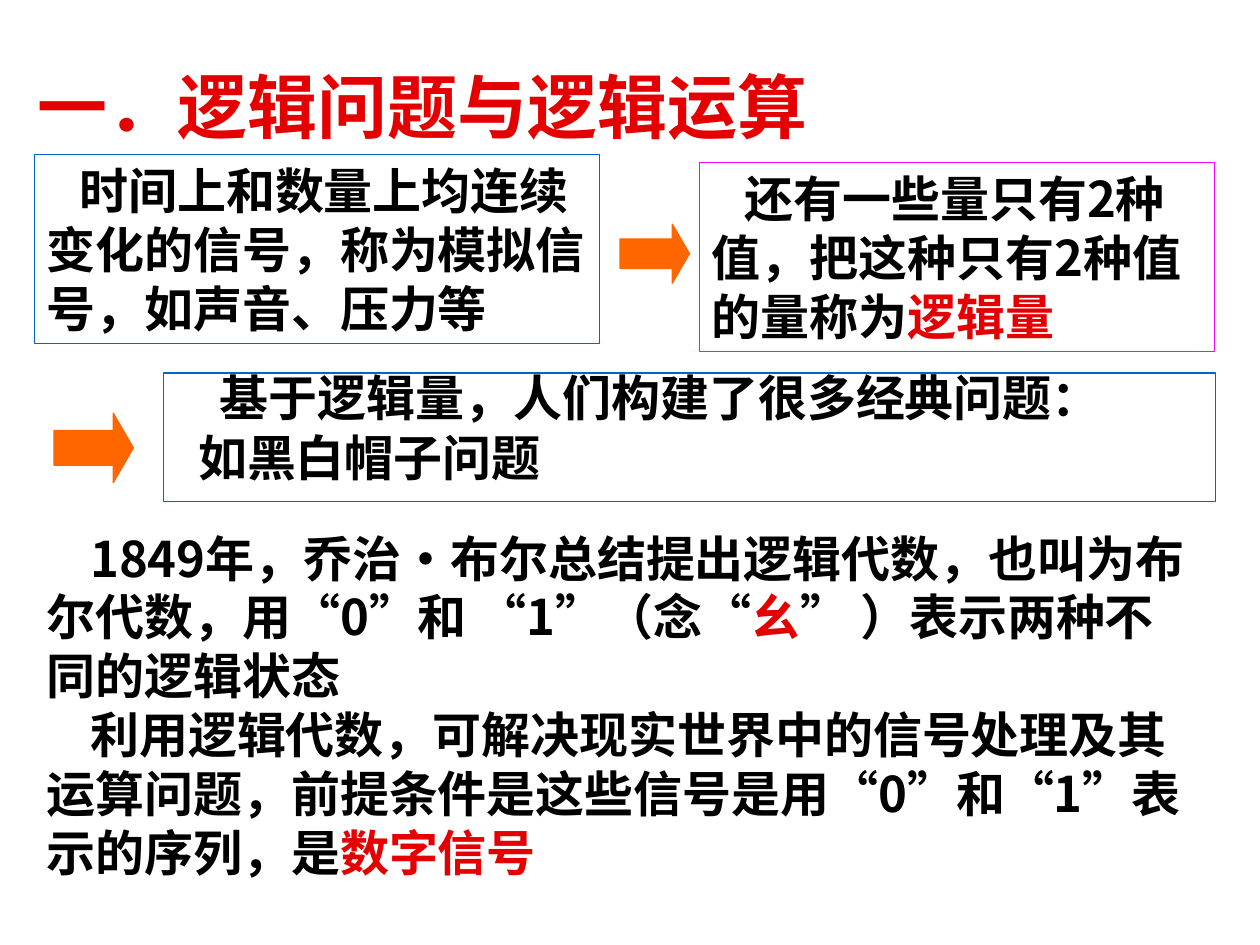
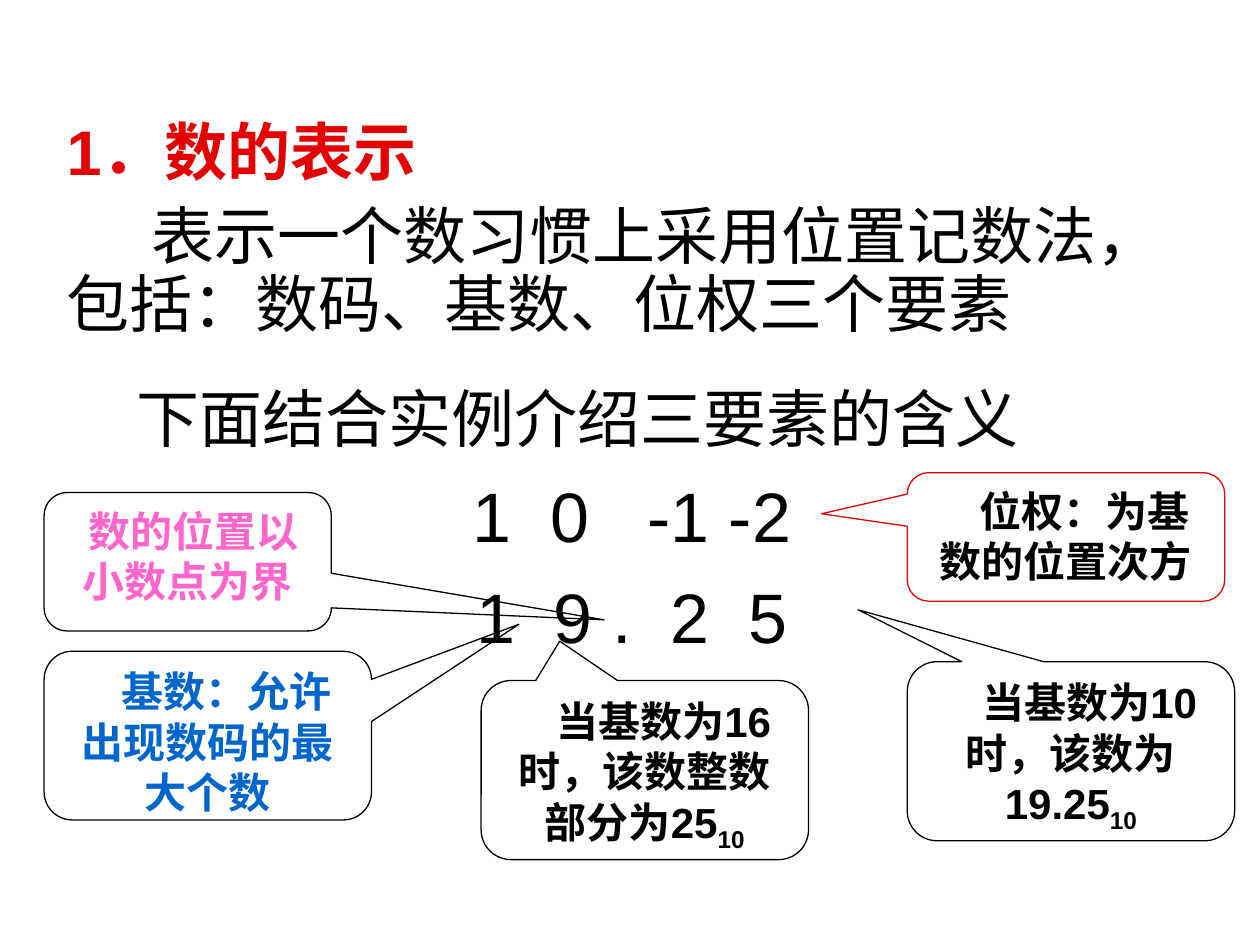
from lxml.etree import SubElement
from pptx import Presentation
from pptx.dml.color import RGBColor
from pptx.enum.lang import MSO_LANGUAGE_ID
from pptx.enum.shapes import MSO_SHAPE
from pptx.enum.text import MSO_ANCHOR, MSO_AUTO_SIZE, PP_ALIGN
from pptx.oxml.ns import qn
from pptx.util import Cm, Pt

BLACK, RED, BLUE = "000000", "E40000", "0066CC"
MAGENTA, PINK, ORANGE = "FF00FF", "FF66CC", "FF6600"
ARIAL, NOTO = "Arial", "Noto Sans CJK SC"


def add_paragraph(tf, runs, size, indent=0, align=PP_ALIGN.LEFT, before=0, spacing=1.0, bold=True):
    """Add a paragraph of (text, font, colour) runs, using the empty first one if there is one."""
    p = tf.paragraphs[0] if not tf.paragraphs[0].runs else tf.add_paragraph()
    p.alignment, p.space_before, p.line_spacing = align, Pt(before), spacing
    pPr = p._p.get_or_add_pPr()
    pPr.set("marL", "0")
    pPr.set("indent", str(Cm(indent)))
    for text, font, colour in runs:
        r = p.add_run()
        r.text = text
        r.font.size, r.font.bold, r.font.name = Pt(size), bold, font
        r.font.color.rgb = RGBColor.from_string(colour)
        r.font.language_id = MSO_LANGUAGE_ID.SIMPLIFIED_CHINESE
        # Quotation marks and the name dot take their full-width form
        SubElement(r._r.rPr, qn("a:ea"), typeface=NOTO if text in "“”•" else font)
    return p


def set_frame(sp, line=None, anchor=MSO_ANCHOR.TOP):
    """Outline a shape without fill and return its wrapped text frame."""
    if line:
        sp.fill.background()
        sp.line.color.rgb = RGBColor.from_string(line)
        sp.line.width = Pt(0.75)
    tf = sp.text_frame
    tf.word_wrap, tf.auto_size, tf.vertical_anchor = True, MSO_AUTO_SIZE.NONE, anchor
    return tf


prs = Presentation()
prs.slide_width, prs.slide_height = Cm(25.4), Cm(19.05)
layout = prs.slide_layouts[0]

# Slide 1: logic problems and logic operations
s = prs.slides.add_slide(layout)
title, subtitle = s.placeholders
title.left, title.top, title.width, title.height = Cm(0.51), Cm(1.12), Cm(22.86), Cm(2)
tf = set_frame(title, anchor=MSO_ANCHOR.MIDDLE)
add_paragraph(tf, [("一．逻辑问题与逻辑运算", ARIAL, RED)], 40)

subtitle.left, subtitle.top, subtitle.width, subtitle.height = Cm(3.3), Cm(7.52), Cm(21.21), Cm(2.59)
tf = set_frame(subtitle, BLUE)
add_paragraph(tf, [("基于逻辑量，人们构建了很多经典问题：", NOTO, BLACK)], 28, 0.88, spacing=0.8)
add_paragraph(tf, [("如黑白帽子问题", NOTO, BLACK)], 28, 0.44, before=7, spacing=0.8)

signal_boxes = [
    (0.69, 3.12, 11.4, BLUE,
     [("时间上和数量上均连续变化的信号，称为模拟信号，如声音、压力等", ARIAL, BLACK)]),
    (14.1, 3.28, 10.39, MAGENTA,
     [("还有一些量只有2种值，把这种只有2种值的量称为", NOTO, BLACK), ("逻辑量", NOTO, RED)]),
]
for left, top, width, line, runs in signal_boxes:
    sp = s.shapes.add_shape(MSO_SHAPE.RECTANGLE, Cm(left), Cm(top), Cm(width), Cm(3.81))
    sp.shadow.inherit = False
    add_paragraph(set_frame(sp, line), runs, 28, 0.66)

for left, top, width, height in [(12.5, 4.52, 1.4, 1.19), (1.09, 8.33, 1.6, 1.4)]:
    sp = s.shapes.add_shape(MSO_SHAPE.RIGHT_ARROW, Cm(left), Cm(top), Cm(width), Cm(height))
    sp.shadow.inherit = False
    sp.adjustments[1] = 0.29
    sp.fill.solid()
    sp.fill.fore_color.rgb = sp.line.color.rgb = RGBColor.from_string(ORANGE)
    sp.line.width = Pt(0.75)

quoted_zero, quoted_one = (
    [("“", ARIAL, BLACK), (digit, NOTO, BLACK), ("”", ARIAL, BLACK)] for digit in "01")
sp = s.shapes.add_textbox(Cm(0.69), Cm(10.52), Cm(23.6), Cm(7.37))
tf = set_frame(sp, anchor=MSO_ANCHOR.MIDDLE)
add_paragraph(tf, [
    ("1849年，乔治", NOTO, BLACK), ("•", ARIAL, BLACK),
    ("布尔总结提出逻辑代数，也叫为布尔代数，用", NOTO, BLACK),
    *quoted_zero, ("和 ", NOTO, BLACK), *quoted_one, ("（念", NOTO, BLACK),
    ("“", ARIAL, BLACK), ("幺", NOTO, RED), ("”", ARIAL, BLACK),
    (" ）表示两种不同的逻辑状态", NOTO, BLACK),
], 28, 0.88)
add_paragraph(tf, [
    ("利用逻辑代数，可解决现实世界中的信号处理及其运算问题，前提条件是这些信号是用", NOTO, BLACK),
    *quoted_zero, ("和", NOTO, BLACK), *quoted_one,
    ("表示的序列，是", NOTO, BLACK), ("数字信号", NOTO, RED),
], 28, 0.88)

# Slide 2: representing numbers
s = prs.slides.add_slide(layout)
title, subtitle = s.placeholders
title.element.getparent().remove(title.element)
subtitle.left, subtitle.top, subtitle.width, subtitle.height = Cm(1.09), Cm(2.31), Cm(23.29), Cm(5)
tf = set_frame(subtitle)
add_paragraph(tf, [("1．数的表示", ARIAL, RED)], 36, spacing=0.9)
add_paragraph(tf, [("表示一个数习惯上采用位置记数法，包括：数码、基数、位权三个要素", ARIAL, BLACK)],
              36, 1.7, before=9, spacing=0.9, bold=False)

sp = s.shapes.add_textbox(Cm(1.09), Cm(7.52), Cm(23.29), Cm(5.99))
tf = set_frame(sp)
add_paragraph(tf, [("下面结合实例介绍三要素的含义", ARIAL, BLACK)], 36, 1.42, bold=False)
# Symbols, and the extra space after each gap in hundredths of a point
digit_rows = [
    (["1", "0", "-1", "-2"], [1112, 2224, 0]),
    (["1", "9", ".", "2", "5"], [1112, 0, 1112, 1112]),
]
for symbols, gaps in digit_rows:
    runs = [(text, ARIAL, BLACK) for text in " | ".join(symbols).replace(" | ", "| |").split("|")]
    p = add_paragraph(tf, runs, 40, align=PP_ALIGN.CENTER, before=10, bold=False)
    for space, gap in zip(p.runs[1::2], gaps):
        space.font._element.set("spc", str(gap))

# left, top, width, height, pointer x, pointer y, line, text colour, indent, text, subscript
callouts = [
    (0.89, 9.93, 5.79, 2.79, 1.45, 0.42, BLACK, PINK, 0.22, "数的位置以小数点为界", ""),
    (0.89, 13.13, 6.6, 3.4, 0.95, -0.66, BLACK, BLUE, 0.76, "基数：允许出现数码的最大个数", ""),
    (18.29, 9.53, 6.4, 2.59, -0.77, -0.18, RED, BLACK, 0.76, "位权：为基数的位置次方", ""),
    (18.29, 13.34, 6.6, 3.61, -0.65, -0.79, BLACK, BLACK, 0.76, "当基数为10时，该数为19.25", "10"),
    (9.7, 13.72, 6.6, 3.61, -0.26, -0.72, BLACK, BLACK, 0.76, "当基数为16时，该数整数部分为25", "10"),
]
for left, top, width, height, tip_x, tip_y, line, colour, indent, text, subscript in callouts:
    sp = s.shapes.add_shape(MSO_SHAPE.ROUNDED_RECTANGULAR_CALLOUT,
                            Cm(left), Cm(top), Cm(width), Cm(height))
    sp.shadow.inherit = False
    sp.adjustments[0], sp.adjustments[1] = tip_x, tip_y
    runs = [(text, ARIAL, colour)]
    if subscript:
        runs.append((subscript, ARIAL, colour))
    p = add_paragraph(set_frame(sp, line), runs, 24, indent, PP_ALIGN.CENTER)
    if subscript:
        p.runs[-1].font._element.set("baseline", "-25000")

prs.save("out.pptx")
